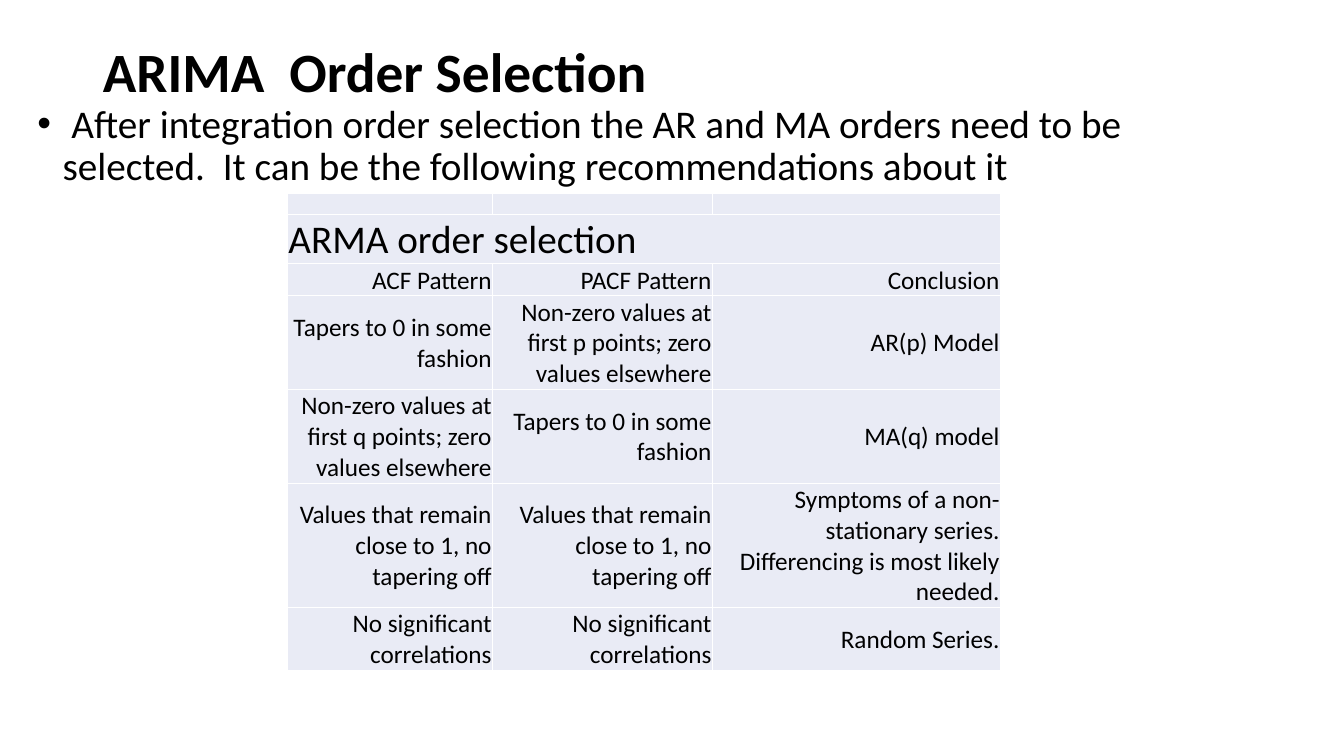
from lxml.etree import SubElement
from pptx import Presentation
from pptx.dml.color import RGBColor
from pptx.enum.text import MSO_ANCHOR, MSO_AUTO_SIZE, PP_ALIGN
from pptx.oxml import parse_xml
from pptx.oxml.ns import nsdecls, qn
from pptx.util import Cm, Pt


def add_span(para, text, size, bold=False):
    span = para.add_run()
    span.text = text
    span.font.name = "Calibri"
    span.font.size = Pt(size)
    span.font.bold = bold
    span.font.color.rgb = RGBColor.from_string("000000")


def style_cell(cell):
    """Pale fill, white borders and narrow margins."""
    cell.fill.solid()
    cell.fill.fore_color.rgb = RGBColor.from_string("E9EBF5")
    cell.vertical_anchor = MSO_ANCHOR.MIDDLE
    cell.margin_left = cell.margin_right = cell.margin_top = Cm(0.03)
    cell.margin_bottom = 0
    properties = cell._tc.get_or_add_tcPr()
    for position, side in enumerate(("lnL", "lnR", "lnT", "lnB")):
        properties.insert(position, parse_xml(
            f'<a:{side} {nsdecls("a")} w="12700"><a:solidFill>'
            f'<a:srgbClr val="FFFFFF"/></a:solidFill></a:{side}>'))


deck = Presentation()
deck.slide_width, deck.slide_height = Cm(33.87), Cm(19.05)
page = deck.slides.add_slide(deck.slide_layouts[1])

# Title
title = page.shapes.title
title.left, title.top, title.width, title.height = Cm(2.34), Cm(1.02), Cm(29.21), Cm(1.7)
title.text_frame.auto_size = MSO_AUTO_SIZE.NONE
title.text_frame.vertical_anchor = MSO_ANCHOR.MIDDLE
para = title.text_frame.paragraphs[0]
para.alignment = PP_ALIGN.LEFT
para.line_spacing = 0.9
add_span(para, "ARIMA  Order Selection", 39.6, bold=True)

# Introductory bullet
body = page.placeholders[1]
body.left, body.top, body.width, body.height = Cm(0.69), Cm(2.51), Cm(29.21), Cm(16.26)
body.text_frame.auto_size = MSO_AUTO_SIZE.NONE
para = body.text_frame.paragraphs[0]
para.line_spacing = 0.9
para.space_before = Pt(0)
bullet = para._p.get_or_add_pPr()
bullet.set("marL", str(Cm(0.635)))
bullet.set("indent", str(-Cm(0.635)))
SubElement(bullet, qn("a:buFont")).set("typeface", "Arial")
SubElement(bullet, qn("a:buChar")).set("char", "•")
add_span(para, " After integration order selection the AR and MA orders need to be "
         "selected.  It can be the following recommendations about it", 28)

# Order selection table
column_widths = [5.18, 5.54, 7.26]
row_heights = [0.53, 1.23, 0.8, 2.36, 2.36, 3.14, 1.58]
patterns = [
    ("ACF Pattern", "PACF Pattern", "Conclusion"),
    ("Tapers to 0 in some fashion",
     "Non-zero values at first p points; zero values elsewhere", "AR(p) Model"),
    ("Non-zero values at first q points; zero values elsewhere",
     "Tapers to 0 in some fashion", "MA(q) model"),
    ("Values that remain close to 1, no tapering off",
     "Values that remain close to 1, no tapering off",
     "Symptoms of a non-stationary series. Differencing is most likely needed."),
    ("No significant correlations", "No significant correlations", "Random Series."),
]
table = page.shapes.add_table(
    len(row_heights), len(column_widths), Cm(7.24), Cm(4.88),
    Cm(sum(column_widths)), Cm(sum(row_heights))).table
table.first_row = table.horz_banding = False
for column, width in zip(table.columns, column_widths):
    column.width = Cm(width)
for row, height in zip(table.rows, row_heights):
    row.height = Cm(height)
for cell in table.iter_cells():
    style_cell(cell)
for column in range(len(column_widths)):
    table.cell(0, column).text_frame.paragraphs[0].font.size = Pt(10)

table.cell(1, 0).merge(table.cell(1, 2))
add_span(table.cell(1, 0).text_frame.paragraphs[0], "ARMA order selection", 28)
for row, texts in enumerate(patterns, start=2):
    for column, text in enumerate(texts):
        para = table.cell(row, column).text_frame.paragraphs[0]
        para.alignment = PP_ALIGN.RIGHT
        add_span(para, text, 18)

deck.save("out.pptx")
